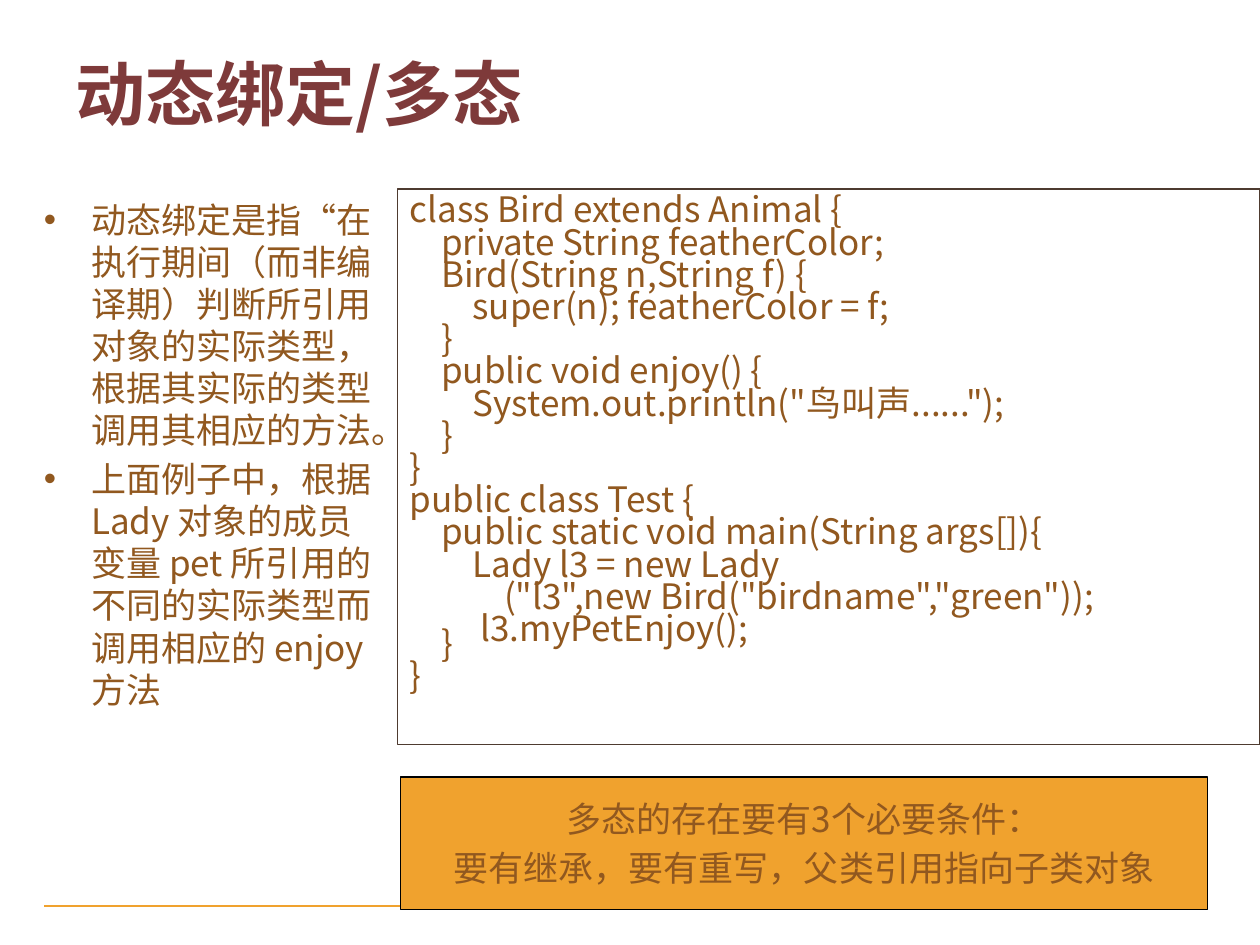
from dataclasses import dataclass

from lxml.etree import SubElement
from pptx import Presentation
from pptx.dml.color import RGBColor
from pptx.enum.shapes import MSO_SHAPE
from pptx.enum.text import MSO_ANCHOR, PP_ALIGN
from pptx.oxml.ns import qn
from pptx.util import Pt

FONT = "Noto Sans CJK SC"
BROWN, MAROON, ORANGE, WHITE = "91581F", "7E3A3A", "F0A22E", "FFFFFF"
LEVEL_INDENT = 18


@dataclass
class Line:
    """One paragraph with its indent and spacing in points."""
    text: str
    left: float = 0
    before: float = 0
    height: float = 24
    bullet: str = ""


@dataclass
class Panel:
    """A rectangle with optional fill, border and text."""
    left: float
    top: float
    width: float
    height: float
    lines: tuple[Line, ...] = ()
    fill: str = ""
    border: str = ""
    border_width: float = 0.75
    size: float = 20
    color: str = BROWN
    bold: bool = False
    align: PP_ALIGN = PP_ALIGN.LEFT
    anchor: MSO_ANCHOR = MSO_ANCHOR.TOP
    inset: float = 3.6
    wrap: bool = True


def rgb(value: str) -> RGBColor:
    """Turn a hex string into a colour."""
    return RGBColor.from_string(value)


def apply_format(target: object, values: dict[str, object]) -> None:
    """Set every attribute named in the format values."""
    for name, value in values.items():
        setattr(target, name, value)


def add_line(para, line: Line, panel: Panel) -> None:
    """Write one line of text into a paragraph."""
    apply_format(para, {"alignment": panel.align, "space_before": Pt(line.before),
                        "space_after": Pt(0), "line_spacing": Pt(line.height)})
    properties = para._p.get_or_add_pPr()
    properties.set("marL", str(Pt(line.left)))
    if line.bullet:
        properties.set("indent", str(-Pt(line.left)))
        SubElement(properties, qn("a:buFont"), typeface="Arial")
        SubElement(properties, qn("a:buChar"), char=line.bullet)
    span = para.add_run()
    span.text = line.text
    apply_format(span.font, {"name": FONT, "size": Pt(panel.size), "bold": panel.bold})
    span.font.color.rgb = rgb(panel.color)
    run_properties = span._r.get_or_add_rPr()
    run_properties.set("lang", "zh-CN")
    SubElement(run_properties, qn("a:ea"), typeface=FONT)


def add_panel(page, panel: Panel) -> None:
    """Draw a filled rectangle or a plain text box."""
    place = [Pt(value) for value in (panel.left, panel.top, panel.width, panel.height)]
    if panel.fill:
        box = page.shapes.add_shape(MSO_SHAPE.RECTANGLE, *place)
        box.shadow.inherit = False
        box.fill.solid()
        box.fill.fore_color.rgb = rgb(panel.fill)
        box.line.color.rgb = rgb(panel.border)
        box.line.width = Pt(panel.border_width)
    else:
        box = page.shapes.add_textbox(*place)
    frame = box.text_frame
    apply_format(frame, {"word_wrap": panel.wrap, "vertical_anchor": panel.anchor,
                         "margin_top": Pt(panel.inset), "margin_bottom": Pt(3.6),
                         "margin_left": Pt(7.2), "margin_right": Pt(7.2)})
    for index, line in enumerate(panel.lines):
        para = frame.add_paragraph() if index else frame.paragraphs[0]
        add_line(para, line, panel)


CODE = (
    (0, "class Bird extends Animal {"),
    (1, "private String featherColor;"),
    (1, "Bird(String n,String f) {"),
    (2, "super(n); featherColor = f;"),
    (1, "}"),
    (1, "public void enjoy() {"),
    (2, 'System.out.println("鸟叫声......");'),
    (1, "}"),
    (0, "}"),
    (0, "public class Test {"),
    (1, "public static void main(String args[]){"),
    (2, "Lady l3 = new Lady"),
    (3, '("l3",new Bird("birdname","green"));'),
    (2.25, "l3.myPetEnjoy();"),
    (1, "}"),
    (0, "}"),
)
TIGHT_ROW = len(CODE) - 2
CODE_LINES = tuple(
    Line(text, level * LEVEL_INDENT, 0 if row in (0, TIGHT_ROW) else 10, 8.4)
    for row, (level, text) in enumerate(CODE)
)
POINTS = (
    "动态绑定是指“在执行期间（而非编译期）判断所引用对象的实际类型，根据其实际的类型调用其相应的方法。",
    "上面例子中，根据 Lady 对象的成员变量 pet 所引用的不同的实际类型而调用相应的 enjoy方法",
)
CONDITIONS = ("多态的存在要有3个必要条件：", "要有继承，要有重写，父类引用指向子类对象")

PANELS = (
    Panel(24, 516, 570, 3.6, fill=ORANGE, border=WHITE, border_width=2),
    Panel(36, 21.6, 492, 62.6, (Line("动态绑定/多态", height=48),),
          size=40, color=MAROON, bold=True, anchor=MSO_ANCHOR.MIDDLE),
    Panel(18, 108, 205, 359, tuple(
        Line(text, 27, 4 * row, bullet="•") for row, text in enumerate(POINTS)), inset=5.6),
    Panel(227, 108, 493, 317.5, CODE_LINES, fill=WHITE, border="4E3B30", inset=15),
    Panel(229, 444, 461, 75.6, tuple(
        Line(text, before=4 * row) for row, text in enumerate(CONDITIONS)),
        fill=ORANGE, border="000000", align=PP_ALIGN.CENTER,
        anchor=MSO_ANCHOR.MIDDLE, wrap=False),
)


def main() -> None:
    """Build the slide and save the deck."""
    deck = Presentation()
    apply_format(deck, {"slide_width": Pt(720), "slide_height": Pt(540)})
    page = deck.slides.add_slide(deck.slide_layouts[6])
    for panel in PANELS:
        add_panel(page, panel)
    deck.save("out.pptx")


if __name__ == "__main__":
    main()
